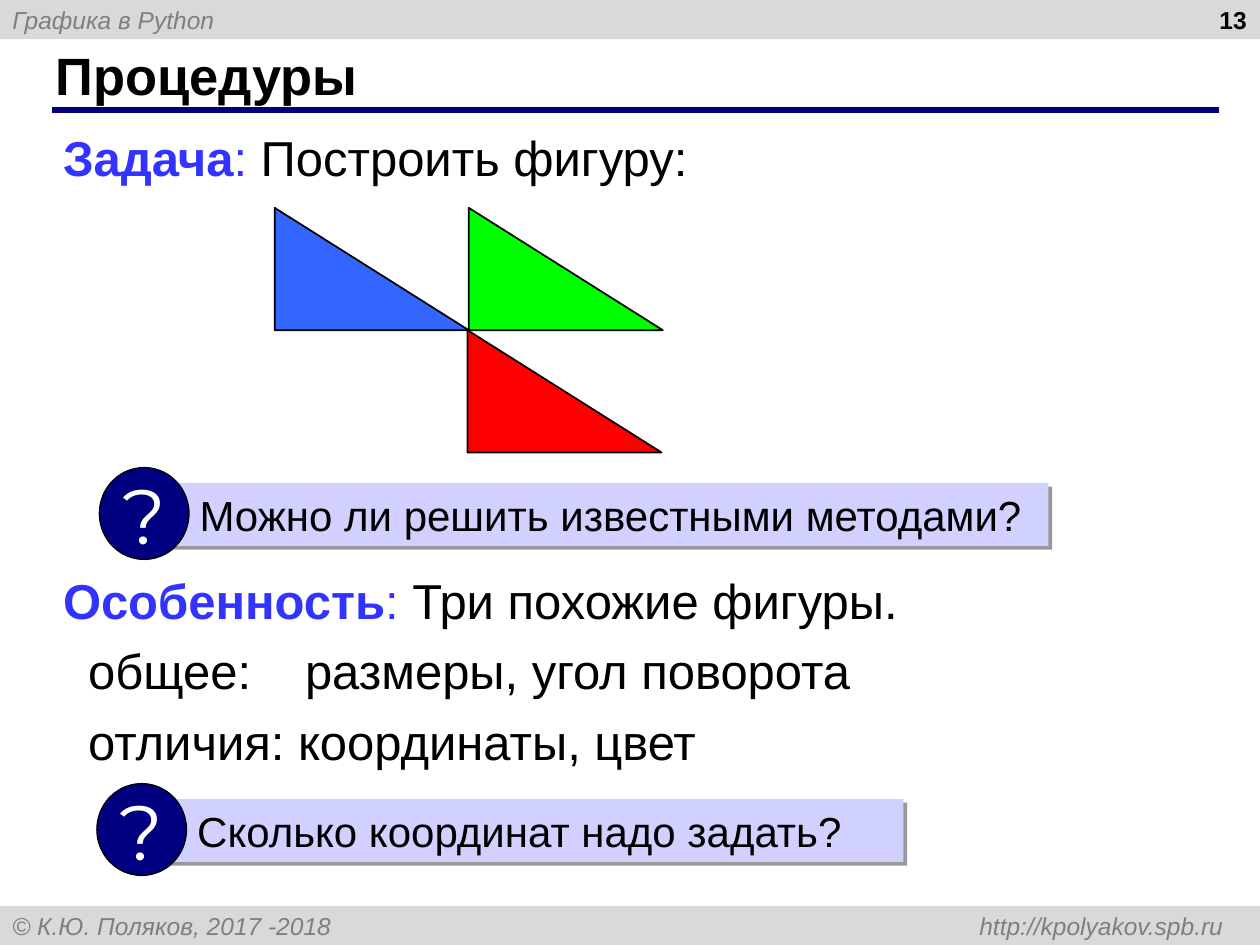
from collections import namedtuple
from dataclasses import dataclass

from lxml import etree
from pptx import Presentation
from pptx import util as u
from pptx.dml import color
from pptx.enum import shapes, text
from pptx.oxml import ns

Pt = u.Pt
Box = namedtuple("Box", "left top width height")


@dataclass(frozen=True)
class Theme:
    font: str = "Arial"
    mark_font: str = "Montserrat"
    ink: str = "000000"
    paper: str = "FFFFFF"
    bar: str = "D9D9D9"
    bar_ink: str = "7F7F7F"
    navy: str = "000080"
    accent: str = "3333FF"
    banner: str = "D1D1FF"
    triangles: tuple = ("3366FF", "00FF00", "FF0000")
    small: int = 14
    question: int = 24
    body: int = 28
    title: int = 30
    mark: int = 44


THEME = Theme()


def rgb(value):
    return color.RGBColor.from_string(value)


def add_xml(parent, tag, **attributes):
    return etree.SubElement(parent, ns.qn(tag), attributes)


def points(box):
    return [Pt(length) for length in box]


def place(shape, box):
    shape.left, shape.top, shape.width, shape.height = points(box)


def style(run, size, ink=THEME.ink, font=THEME.font, bold=False, italic=False):
    run.font.size, run.font.name = Pt(size), font
    run.font.bold, run.font.italic = bold, italic
    run.font.color.rgb = rgb(ink)


def write(shape, words, align=text.PP_ALIGN.LEFT, **look):
    """Put one styled, vertically centred paragraph into a shape."""
    frame = shape.text_frame
    frame.text = words
    frame.vertical_anchor = text.MSO_ANCHOR.MIDDLE
    paragraph = frame.paragraphs[0]
    paragraph.alignment = align
    for run in paragraph.runs:
        style(run, **look)
    return paragraph


def add_figure(parts, kind, box, fill, line_width=0):
    figure = parts.add_shape(kind, *points(box))
    figure.shadow.inherit = False
    figure.fill.solid()
    figure.fill.fore_color.rgb = rgb(fill)
    if line_width:
        figure.line.color.rgb = rgb(THEME.ink)
        figure.line.width = Pt(line_width)
    else:
        figure.line.fill.background()
    return figure


def add_bar(slide, box, words):
    bar = add_figure(slide.shapes, shapes.MSO_SHAPE.RECTANGLE, box, THEME.bar)
    paragraph = write(bar, words, size=THEME.small, ink=THEME.bar_ink, italic=True)
    tabs = add_xml(paragraph._p.get_or_add_pPr(), "a:tabLst")
    add_xml(tabs, "a:tab", pos=str(Pt(692)), algn="r")


def add_page_number(slide, box, number):
    label = slide.shapes.add_textbox(*points(box))
    label.text_frame.word_wrap = True
    write(label, number, text.PP_ALIGN.RIGHT, size=THEME.small, bold=True)


def add_heading(slide, box, words):
    """Fill the title placeholder and rule a line below it."""
    title = slide.shapes.title
    place(title, box)
    write(title, words, size=THEME.title, bold=True)
    rule_y = Pt(box.top + box.height + 1.4)
    rule = slide.shapes.add_connector(
        shapes.MSO_CONNECTOR.STRAIGHT,
        Pt(box.left + 5), rule_y, Pt(box.left + box.width + 12), rule_y)
    rule.line.color.rgb = rgb(THEME.navy)
    rule.line.width = Pt(3)
    add_xml(rule._element.spPr, "a:effectLst")


def add_body(slide, box, items):
    """items: (term, wording, space before, left margin, first-line indent)."""
    body = slide.placeholders[1]
    place(body, box)
    frame = body.text_frame
    frame.auto_size = text.MSO_AUTO_SIZE.NONE
    frame.vertical_anchor = text.MSO_ANCHOR.TOP
    for index, (term, wording, gap, margin, indent) in enumerate(items):
        paragraph = frame.add_paragraph() if index else frame.paragraphs[0]
        paragraph.space_before = Pt(gap)
        properties = paragraph._p.get_or_add_pPr()
        properties.set("marL", str(Pt(margin)))
        properties.set("indent", str(Pt(indent)))
        add_xml(properties, "a:buNone")
        if term:
            paragraph.text = term
            style(paragraph.runs[0], THEME.body, THEME.accent, bold=True)
            colon = paragraph.add_run()
            colon.text = ": "
            style(colon, THEME.body, THEME.accent)
            statement = paragraph.add_run()
            statement.text = wording
        else:
            paragraph.text = wording
        style(paragraph.runs[-1], THEME.body)


def add_triangles(slide, box):
    """Two triangles side by side, the third below the right one."""
    parts = slide.shapes.add_group_shape().shapes
    width, height = box.width / 2, box.height / 2
    offsets = ((0, 0), (width, 0), (width - 0.7, height))
    for (x, y), fill in zip(offsets, THEME.triangles):
        add_figure(parts, shapes.MSO_SHAPE.RIGHT_TRIANGLE,
                   Box(box.left + x, box.top + y, width, height), fill, 1)


def add_question(slide, box, words):
    """A shadowed banner with a round question mark over its left end."""
    parts = slide.shapes.add_group_shape().shapes
    banner = add_figure(parts, shapes.MSO_SHAPE.RECTANGLE,
                        Box(box.left + 36.7, box.top + 8.8, box.width - 36.7, 36),
                        THEME.banner)
    shadow = add_xml(banner._element.spPr.find(ns.qn("a:effectLst")),
                     "a:outerShdw", dist=str(Pt(3)), dir="2700000",
                     algn="tl", rotWithShape="0")
    shade = add_xml(shadow, "a:srgbClr", val=THEME.ink)
    add_xml(shade, "a:alpha", val="40000")
    banner.text_frame.margin_left = Pt(20.6)
    write(banner, words, size=THEME.question)
    circle = add_figure(parts, shapes.MSO_SHAPE.OVAL,
                        Box(box.left, box.top, 51.2, box.height), THEME.navy, 0.75)
    write(circle, "?", text.PP_ALIGN.CENTER, size=THEME.mark,
          ink=THEME.paper, font=THEME.mark_font)
    circle.text_frame.word_wrap = False


def main():
    deck = Presentation()
    deck.slide_width, deck.slide_height = Pt(720), Pt(540)
    slide = deck.slides.add_slide(deck.slide_layouts[1])

    add_bar(slide, Box(0, 0, 720, 22.4), "Графика в Python")
    add_bar(slide, Box(0, 517.6, 720, 22.4),
            "© К.Ю. Поляков, 2017 -2018\thttp://kpolyakov.spb.ru")
    add_page_number(slide, Box(551.5, -7, 168, 37), "13")
    add_heading(slide, Box(24.5, 24, 660, 37.4), "Процедуры")
    add_body(slide, Box(28.8, 69.4, 663, 371), (
        ("Задача", "Построить фигуру:", 0, 0, 0),
        ("Особенность", "Три похожие фигуры.", 219.5, 0, 0),
        (None, "общее:\tразмеры, угол поворота", 6.5, 138.3, -123.9),
        (None, "отличия: координаты, цвет", 6.5, 14.4, 0),
    ))
    add_question(slide, Box(56.8, 267.2, 542.4, 52.5),
                 "Можно ли решить известными методами?")
    add_triangles(slide, Box(157, 118.8, 221.8, 139.8))
    add_question(slide, Box(55.4, 447.8, 460.9, 52.5),
                 "Сколько координат надо задать?")
    deck.save("out.pptx")


if __name__ == "__main__":
    main()
